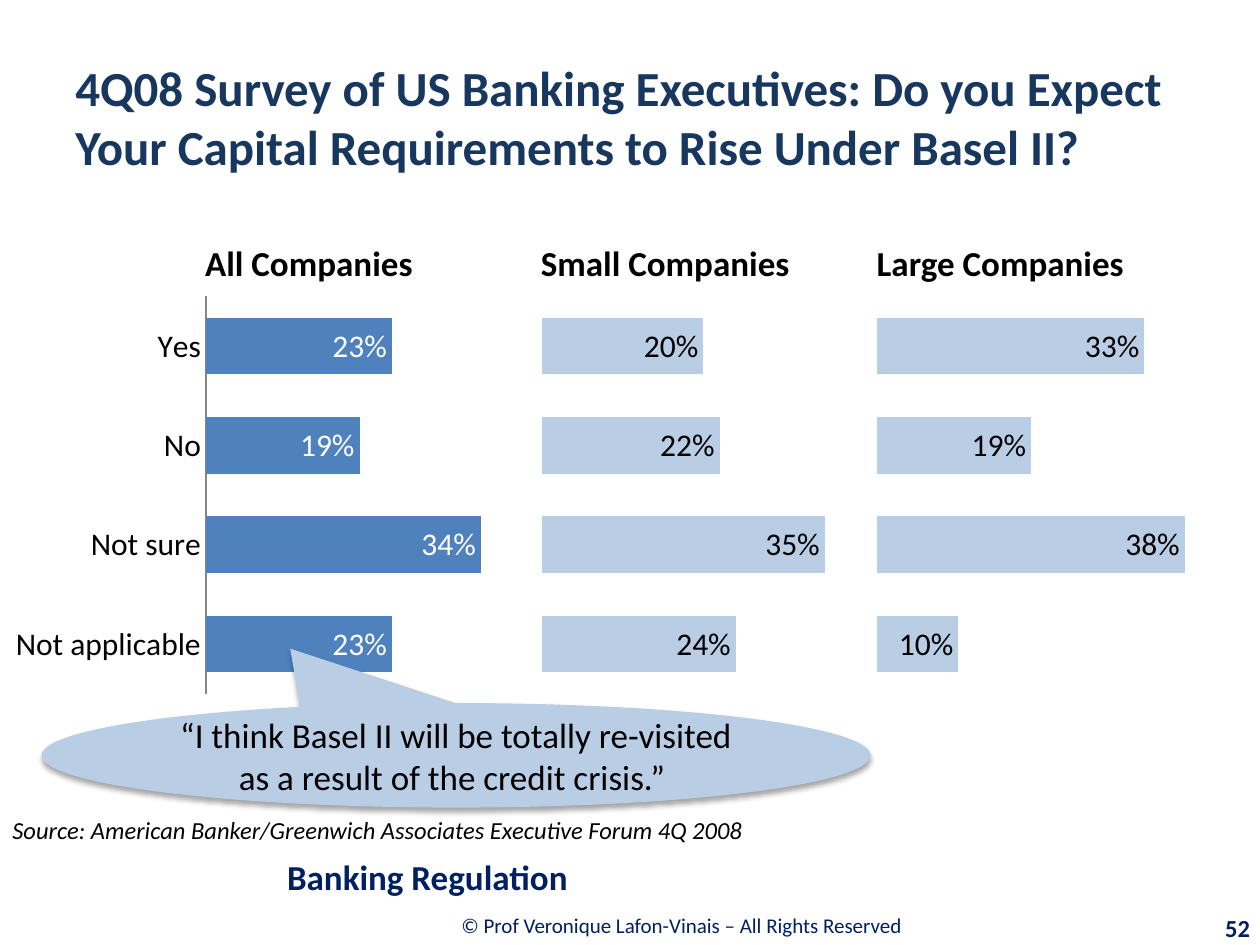
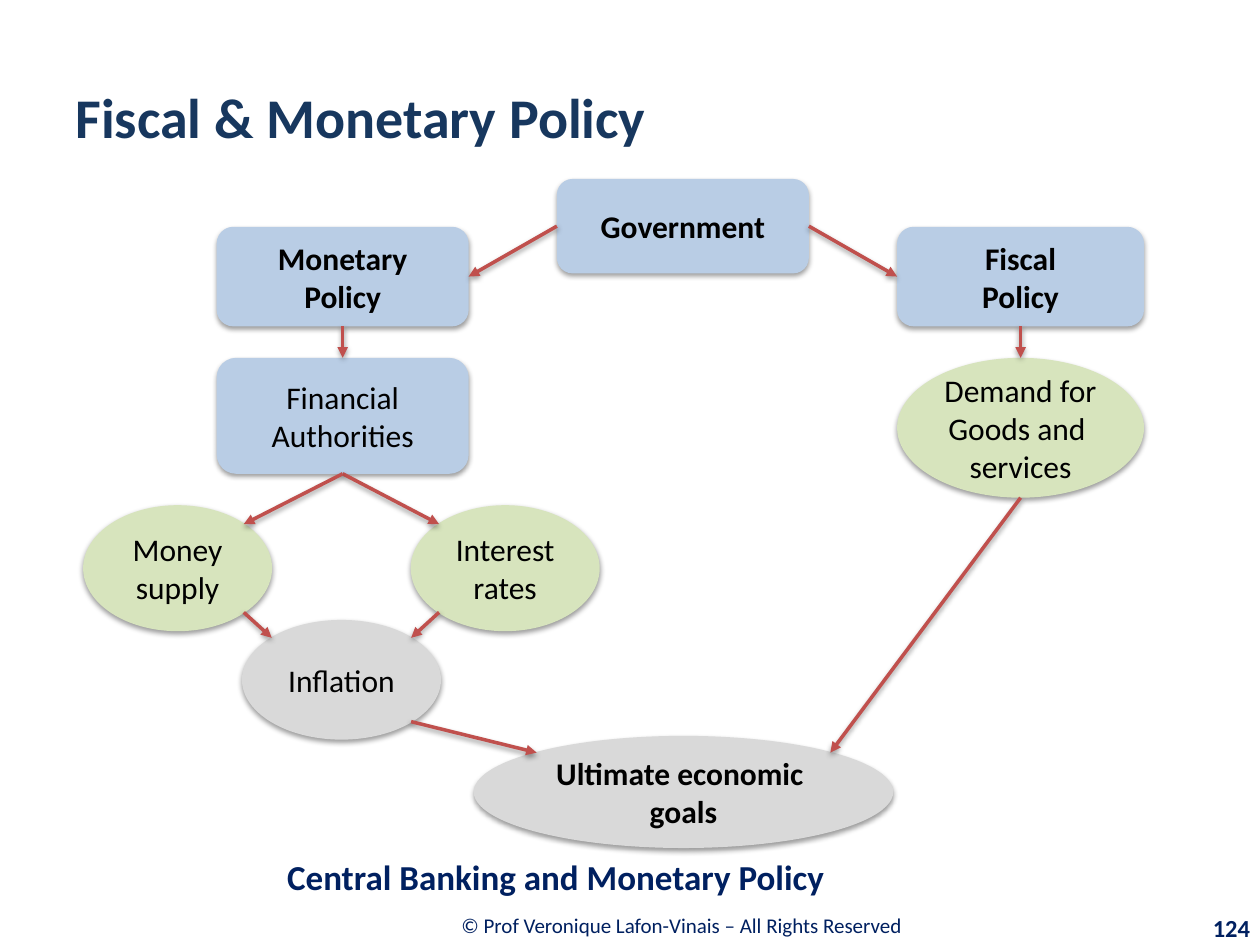
from dataclasses import dataclass

from lxml import etree
from pptx import Presentation
from pptx.chart.data import CategoryChartData
from pptx.dml.color import RGBColor
from pptx.enum.chart import XL_CHART_TYPE, XL_LABEL_POSITION, XL_TICK_MARK
from pptx.enum.shapes import MSO_CONNECTOR, MSO_SHAPE
from pptx.enum.text import MSO_ANCHOR, PP_ALIGN
from pptx.oxml import parse_xml
from pptx.oxml.ns import nsdecls, qn
from pptx.util import Inches, Pt

ROUND, OVAL = MSO_SHAPE.ROUNDED_RECTANGLE, MSO_SHAPE.OVAL
SPEECH = MSO_SHAPE.OVAL_CALLOUT
STRAIGHT = MSO_CONNECTOR.STRAIGHT
BARS = XL_CHART_TYPE.BAR_CLUSTERED
IN_END = XL_LABEL_POSITION.INSIDE_END
NO_TICK = XL_TICK_MARK.NONE
TOP, MIDDLE = MSO_ANCHOR.TOP, MSO_ANCHOR.MIDDLE
LEFT, CENTER, RIGHT = PP_ALIGN.LEFT, PP_ALIGN.CENTER, PP_ALIGN.RIGHT


@dataclass(frozen=True)
class Theme:
    font: str = "Calibri"
    title: str = "17375E"
    navy: str = "002060"
    black: str = "000000"
    white: str = "FFFFFF"
    blue: str = "4F81BD"
    pale: str = "B9CDE5"
    green: str = "D7E4BD"
    grey: str = "D9D9D9"
    axis: str = "868686"
    red: str = "C0504D"
    big: int = 32
    long: int = 28
    head: int = 20
    body: int = 18
    note: int = 14
    small: int = 12


THEME = Theme()
UP, WEST, DOWN, EAST = (0.5, 0), (0, 0.5), (0.5, 1), (1, 0.5)
SIDES = [UP, WEST, DOWN, EAST]
NEAR, FAR = 0.15, 0.85
NW, NE, SW, SE = (NEAR, NEAR), (FAR, NEAR), (NEAR, FAR), (FAR, FAR)

NODES = {
    "gov": (ROUND, THEME.pale, True, (3.76, 0, 2, 0.75), ["Government"]),
    "money": (ROUND, THEME.pale, True, (1.06, 0.38, 2, 0.79),
              ["Monetary", "Policy"]),
    "fiscal": (ROUND, THEME.pale, True, (6.46, 0.38, 1.96, 0.79),
               ["Fiscal", "Policy"]),
    "goals": (OVAL, THEME.grey, True, (3.1, 4.42, 3.33, 0.89),
              ["Ultimate economic ", "goals"]),
    "prices": (OVAL, THEME.grey, False, (1.26, 3.5, 1.58, 0.95),
               ["Inflation"]),
    "demand": (OVAL, THEME.green, False, (6.46, 1.42, 1.96, 1.11),
               ["Demand for", "Goods and ", "services"]),
    "banks": (ROUND, THEME.pale, False, (1.06, 1.42, 2, 0.92),
              ["Financial", "Authorities"]),
    "supply": (OVAL, THEME.green, False, (0, 2.59, 1.5, 1),
               ["Money", "supply"]),
    "rates": (OVAL, THEME.green, False, (2.6, 2.59, 1.5, 1),
              ["Interest", "rates"]),
}
LINKS = [
    ("gov", WEST, "money", EAST), ("gov", EAST, "fiscal", WEST),
    ("fiscal", DOWN, "demand", UP), ("demand", DOWN, "goals", NE),
    ("money", DOWN, "banks", UP), ("banks", DOWN, "rates", NW),
    ("banks", DOWN, "supply", NE), ("supply", SE, "prices", NW),
    ("rates", SW, "prices", NE), ("prices", SE, "goals", NW),
]
ANSWERS = ["Not applicable", "Not sure", "No", "Yes"]
COUNTS = ["1", "2", "3", "4"]
PANELS = [
    ("All Companies", ANSWERS, [0.23, 0.34, 0.19, 0.23],
     THEME.blue, THEME.white),
    ("Small Companies", COUNTS, [0.24, 0.35, 0.22, 0.2],
     THEME.pale, THEME.black),
    ("Large Companies", COUNTS, [0.1, 0.38, 0.19, 0.33],
     THEME.pale, THEME.black),
]


def set_all(item, values):
    for name, value in values.items():
        setattr(item, name, value)


def rgb(code):
    return RGBColor.from_string(code)


def inches(box):
    return [Inches(n) for n in box]


def style(font, size, color, **extra):
    set_all(font, {"name": THEME.font, "size": Pt(size), **extra})
    font.color.rgb = rgb(color)


def write(shape, lines, size, color, align=LEFT, anchor=MIDDLE, wrap=True,
          **extra):
    frame = shape.text_frame
    set_all(frame, {"text": "\n".join(lines), "word_wrap": wrap,
                    "vertical_anchor": anchor})
    for para in frame.paragraphs:
        para.alignment = align
        style(para.font, size, color, **extra)


def label(slide, box, text, size, color, **extra):
    write(slide.shapes.add_textbox(*inches(box)), [text], size, color, **extra)


def shade(shape, alpha=38, drop=1.6):
    effects = etree.SubElement(shape._element.spPr, qn("a:effectLst"))
    effects.append(parse_xml(
        f'<a:outerShdw {nsdecls("a")} blurRad="{Pt(3.1)}" dist="{Pt(drop)}" '
        f'dir="5400000" rotWithShape="0"><a:srgbClr val="{THEME.black}">'
        f'<a:alpha val="{alpha * 1000}"/></a:srgbClr></a:outerShdw>'))


def add_form(slide, kind, box, fill):
    shape = slide.shapes.add_shape(kind, *inches(box))
    shape.fill.solid()
    shape.fill.fore_color.rgb = rgb(fill)
    shape.line.fill.background()
    return shape


def frame_slide(deck, title, size, topic, number):
    slide = deck.slides.add_slide(deck.slide_layouts[6])
    label(slide, (2.19, 7.15, 6.48, 0.39),
          "© Prof Veronique Lafon-Vinais – All Rights Reserved ",
          THEME.small, THEME.navy, align=CENTER)
    label(slide, (0.5, 0.3, 9, 1.25), title, size, THEME.title, bold=True)
    label(slide, (9.01, 7.2, 1.01, 0.32), number, THEME.note, THEME.navy,
          align=RIGHT, bold=True)
    label(slide, (2.18, 6.72, 7.82, 0.47), topic, THEME.head, THEME.navy,
          bold=True)
    return slide


def place_plot(chart):
    parts = {"x": 0.35, "y": 0.03, "w": 0.55, "h": 0.71}
    sizes = "".join(f'<c:{k} val="{v}"/>' for k, v in parts.items())
    layout = parse_xml(
        f'<c:layout {nsdecls("c")}><c:manualLayout>'
        '<c:layoutTarget val="inner"/><c:xMode val="edge"/>'
        f'<c:yMode val="edge"/>{sizes}</c:manualLayout></c:layout>')
    root = chart._chartSpace.find(qn("c:chart"))
    plot = root.find(qn("c:plotArea"))
    for old in plot.findall(qn("c:layout")):
        plot.remove(old)
    plot.insert(0, layout)
    root.addnext(parse_xml(
        f'<c:spPr {nsdecls("c", "a")}><a:noFill/>'
        '<a:ln><a:noFill/></a:ln></c:spPr>'))


def add_bars(slide, box, names, values, fill, ink):
    data = CategoryChartData(number_format="0%")
    data.categories = names
    data.add_series("Series 1", values)
    chart = slide.shapes.add_chart(BARS, *inches(box), data).chart
    set_all(chart, {"has_legend": False, "has_title": False})
    style(chart.font, THEME.body, THEME.black)
    place_plot(chart)
    set_all(chart.value_axis, {
        "visible": False, "has_major_gridlines": False,
        "minimum_scale": 0, "maximum_scale": 0.4})
    axis = chart.category_axis
    set_all(axis, {"visible": names is ANSWERS, "major_tick_mark": NO_TICK,
                   "minor_tick_mark": NO_TICK})
    axis.format.line.color.rgb = rgb(THEME.axis)
    plot = chart.plots[0]
    set_all(plot, {"gap_width": 75, "vary_by_categories": False,
                   "has_data_labels": True})
    set_all(plot.data_labels, {
        "show_value": True, "position": IN_END, "number_format": "0%",
        "number_format_is_linked": False})
    style(plot.data_labels.font, THEME.body, ink)
    paint = plot.series[0].format.fill
    paint.solid()
    paint.fore_color.rgb = rgb(fill)


def add_panels(slide, box):
    left, top, width, height = box
    span, drop = 4.67, 0.64
    step = (width - span) / (len(PANELS) - 1)
    for i, (head, *bars) in enumerate(PANELS):
        x = left + i * step
        add_bars(slide, (x, top + drop, span, height - drop), *bars)
        label(slide, (x + 1.53, top, 2.4, 1), head, THEME.head, THEME.black,
              bold=True)


def add_quote(slide, box):
    left, top, width, height = box
    bubble = add_form(slide, SPEECH, (left + 0.33, top, 6.58, 0.83),
                      THEME.pale)
    bubble.adjustments[0] = -0.2
    bubble.adjustments[1] = -1.02
    shade(bubble, 35, 1.8)
    write(bubble, ["“I think Basel II will be totally re-visited as a result "
                   "of the credit crisis.” "],
          THEME.head, THEME.black, align=CENTER)
    label(slide, (left, top + height - 0.34, width, 0.34),
          "Source: American Banker/Greenwich Associates Executive Forum "
          "4Q 2008", THEME.note, THEME.black, anchor=TOP, italic=True)


def spot(shape, site):
    return (int(shape.left + shape.width * site[0]),
            int(shape.top + shape.height * site[1]))


def can_join(shape, site):
    return site == UP or (site in SIDES and shape.auto_shape_type == ROUND)


def add_link(slide, start, out, end, into):
    line = slide.shapes.add_connector(
        STRAIGHT, *spot(start, out), *spot(end, into))
    if can_join(start, out):
        line.begin_connect(start, SIDES.index(out))
    if can_join(end, into):
        line.end_connect(end, SIDES.index(into))
    line.line.color.rgb = rgb(THEME.red)
    line.line.width = Pt(2)
    etree.SubElement(line.line._get_or_add_ln(), qn("a:tailEnd"),
                     type="triangle")
    shade(line)


def add_flow(slide, box):
    left, top = box[:2]
    shapes = {}
    for name, (kind, fill, bold, (x, y, w, h), lines) in NODES.items():
        shape = add_form(slide, kind, (left + x, top + y, w, h), fill)
        shade(shape)
        write(shape, lines, THEME.body, THEME.black, align=CENTER,
              wrap=name == "goals", bold=bold)
        shapes[name] = shape
    for start, out, end, into in LINKS:
        add_link(slide, shapes[start], out, shapes[end], into)


def main():
    deck = Presentation()
    set_all(deck, {"slide_width": Inches(10), "slide_height": Inches(7.5)})
    survey = frame_slide(
        deck, "4Q08 Survey of US Banking Executives: Do you Expect Your "
        "Capital Requirements to Rise Under Basel II?", THEME.long,
        "Banking Regulation", "52")
    add_panels(survey, (0, 1.58, 10, 5.08))
    add_quote(survey, (0, 5.58, 7.33, 1.18))
    policy = frame_slide(deck, "Fiscal & Monetary Policy", THEME.big,
                         "Central Banking and Monetary Policy", "124")
    add_flow(policy, (0.66, 1.42, 8.42, 5.31))
    deck.save("out.pptx")


if __name__ == "__main__":
    main()
